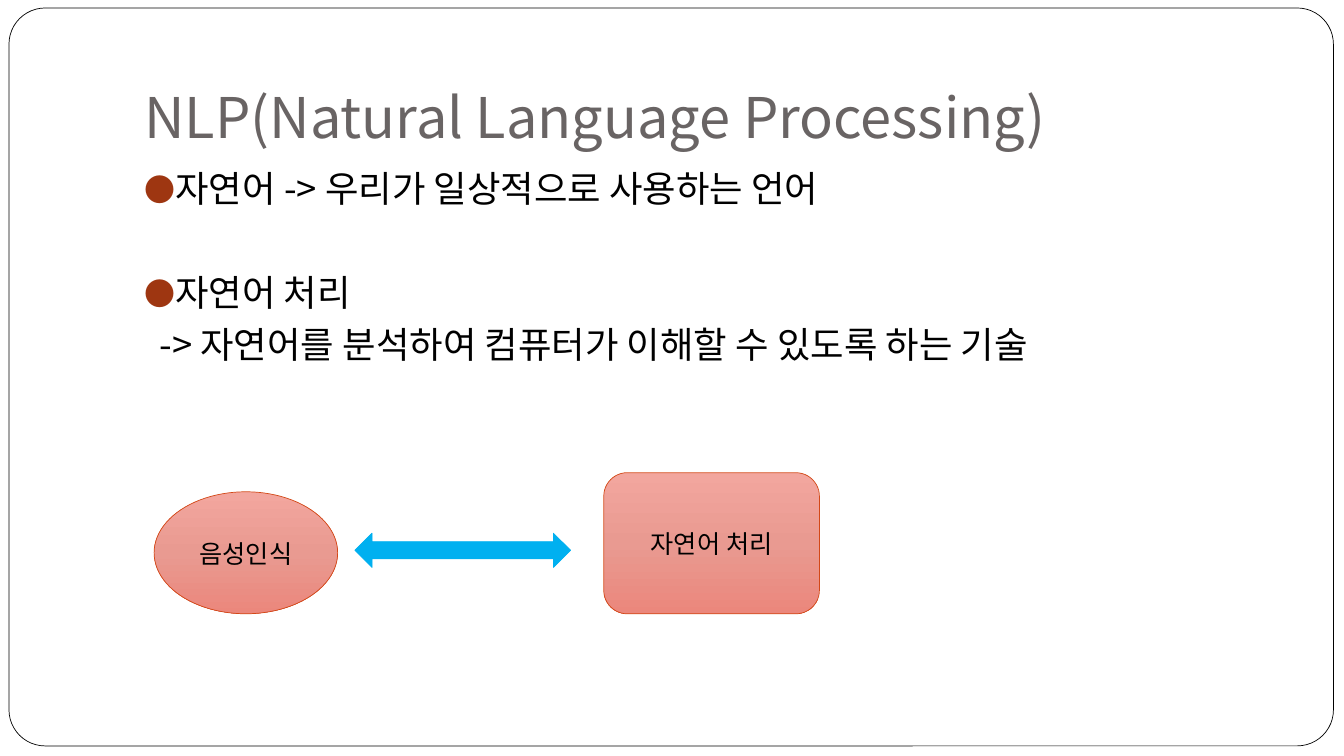
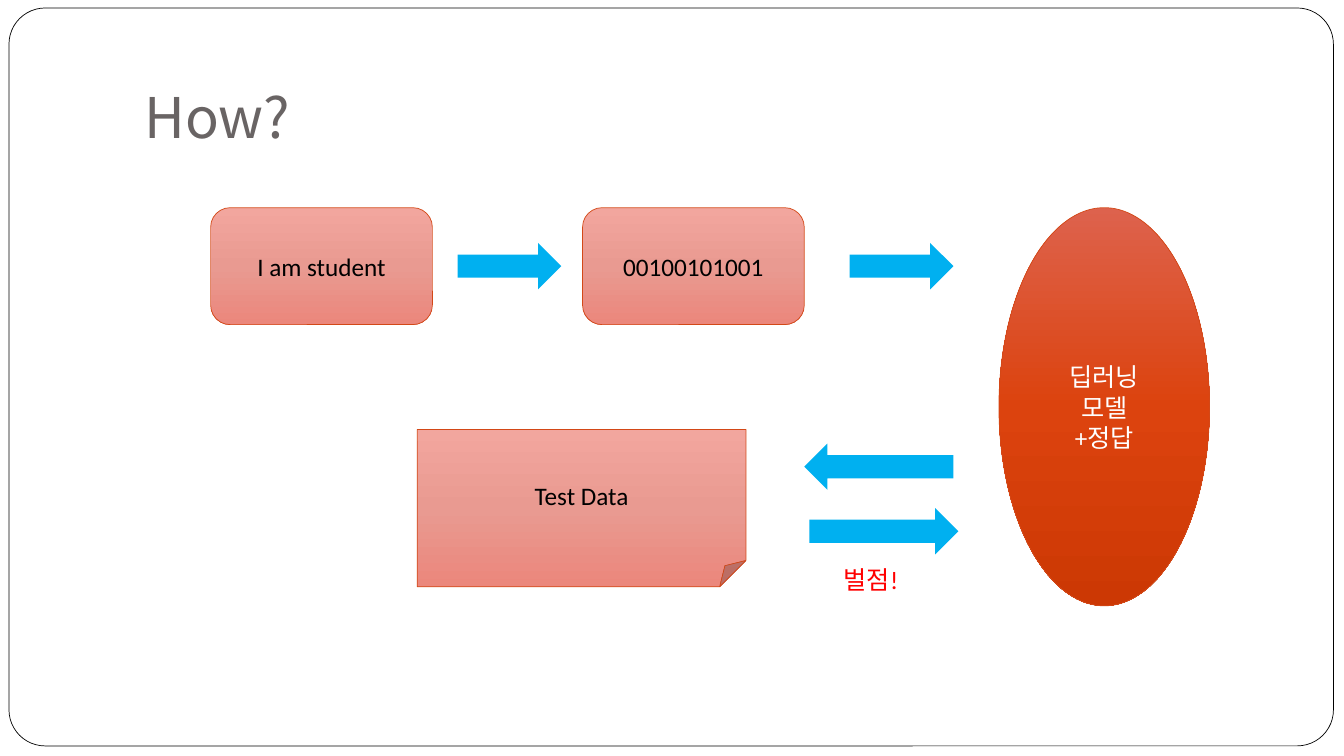
"""Build a two-slide introduction to natural language processing."""
from copy import deepcopy

from lxml.etree import SubElement
from pptx import Presentation
from pptx.dml.color import RGBColor
from pptx.enum.shapes import MSO_SHAPE as Shape
from pptx.enum.text import MSO_ANCHOR as Anchor, PP_ALIGN as Align
from pptx.oxml.ns import qn
from pptx.util import Inches, Pt

COLORS = {
    "paper": "FFFFFF", "ink": "000000", "title": "696464", "bullet": "9E3611",
    "outline": "D34817", "arrow": "00B0F0", "penalty": "FF0000",
}
SOFT = ("F2A69E", "E99A91", "EB877C")
STRONG = ("DD624D", "DC430E", "CC3804")
KOREAN, LATIN = "Noto Sans CJK KR", "Calibri"
WIDTH, HEIGHT = Inches(13.33), Inches(7.5)
COLUMNS, ROWS = 64, 36
TITLE_AREA = (6.4, 1.44, 54.4, 6)
BODY_AREA = (6.4, 7.68, 54.4, 12)
BODY_LINE, BODY_GAP = 31.3, 5.8


def rgb(name):
    return RGBColor.from_string(COLORS[name])


def grid(left, top, width, height):
    column, row = WIDTH / COLUMNS, HEIGHT / ROWS
    return [round(size) for size in (left * column, top * row, width * column, height * row)]


def format_para(para, size, color, font, align=Align.LEFT, line=None):
    para.alignment = align
    if line:
        para.line_spacing = Pt(line)
    for span in para.runs:
        span.font.size = Pt(size)
        span.font.name = font
        span.font.color.rgb = rgb(color)
        SubElement(span.font._element, qn("a:ea"), typeface=KOREAN)


def write_label(box, text, color, align=Align.CENTER):
    frame = box.text_frame
    frame.text = text
    frame.vertical_anchor = Anchor.MIDDLE
    for para in frame.paragraphs:
        format_para(para, 18, color, LATIN, align, 22)


def add_figure(page, kind, area, outline=None):
    figure = page.shapes.add_shape(kind, *grid(*area))
    figure.shadow.inherit = False
    if outline:
        figure.line.color.rgb = rgb(outline)
        figure.line.width = Pt(0.5)
    else:
        figure.line.fill.background()
    return figure


def add_node(page, kind, area, text, shades=SOFT, color="ink"):
    node = add_figure(page, kind, area, "outline")
    node.fill.gradient()
    node.fill.gradient_angle = 270
    stops = node._element.spPr.find(qn("a:gradFill")).find(qn("a:gsLst"))
    stops.insert(1, deepcopy(stops[0]))
    for stop, shade, position in zip(node.fill.gradient_stops, shades, (0, 0.5, 1)):
        stop.color.rgb = RGBColor.from_string(shade)
        stop.position = position
    write_label(node, text, color)


def add_arrow(page, kind, area, outline=None):
    arrow = add_figure(page, kind, area, outline)
    arrow.fill.solid()
    arrow.fill.fore_color.rgb = rgb("arrow")


def add_frame(page):
    frame = add_figure(page, Shape.ROUNDED_RECTANGLE, (0.43, 0.38, 63.07, 35.14), "ink")
    frame.adjustments[0] = 0.049
    frame.fill.solid()
    frame.fill.fore_color.rgb = rgb("paper")
    page.slide_layout.shapes._spTree.insert(2, frame._element)


def add_page(deck, title):
    page = deck.slides.add_slide(deck.slide_layouts[5])
    box = page.shapes.title
    box.left, box.top, box.width, box.height = grid(*TITLE_AREA)
    frame = box.text_frame
    frame.text = title
    frame.word_wrap = True
    frame.vertical_anchor = Anchor.BOTTOM
    frame.margin_bottom = Inches(0.06)
    format_para(frame.paragraphs[0], 40, "title", KOREAN)
    return page


def indent(para, bulleted):
    props = para._p.get_or_add_pPr()
    props.set("marL", str(Inches(0.3 if bulleted else 0.15)))
    props.set("indent", str(-Inches(0.3) if bulleted else 0))
    if bulleted:
        tint = SubElement(props, qn("a:buClr"))
        SubElement(tint, qn("a:srgbClr"), val=COLORS["bullet"])
        SubElement(props, qn("a:buSzPct"), val="85000")
        SubElement(props, qn("a:buFont"), typeface=KOREAN)
        SubElement(props, qn("a:buChar"), char="●")


def add_body(page, lines):
    frame = page.shapes.add_textbox(*grid(*BODY_AREA)).text_frame
    frame.word_wrap = True
    frame.text = "\n".join(text for text, _, _ in lines)
    for para, (_, bulleted, gap) in zip(frame.paragraphs, lines):
        format_para(para, 26, "ink", KOREAN, line=BODY_LINE)
        para.space_before = Pt(gap)
        indent(para, bulleted)


def build_definition(deck):
    page = add_page(deck, "NLP(Natural Language Processing)")
    add_frame(page)
    add_body(page, [
        ("자연어 -> 우리가 일상적으로 사용하는 언어", True, 0),
        ("자연어 처리", True, BODY_LINE + 2 * BODY_GAP),
        ("-> 자연어를 분석하여 컴퓨터가 이해할 수 있도록 하는 기술", False, BODY_GAP),
    ])
    add_arrow(page, Shape.LEFT_RIGHT_ARROW, (16.9, 25.39, 10.27, 1.63), "arrow")
    add_node(page, Shape.OVAL, (7.34, 23.42, 8.74, 5.81), "음성인식")
    add_node(page, Shape.ROUNDED_RECTANGLE, (28.75, 22.51, 10.27, 6.72), "자연어 처리")


def build_process(deck):
    page = add_page(deck, "How?")
    for left, text in ((10.03, "I am student"), (27.74, "00100101001")):
        add_node(page, Shape.ROUNDED_RECTANGLE, (left, 9.89, 10.56, 5.57), text)
    add_node(page, Shape.OVAL, (47.57, 9.89, 10.03, 18.96), "딥러닝\n모델\n+정답", STRONG, "paper")
    add_node(page, Shape.FOLDED_CORNER, (19.87, 20.45, 15.65, 7.49), "Test Data")
    for kind, left, top, width in (
        (Shape.RIGHT_ARROW, 21.79, 11.57, 4.94),
        (Shape.RIGHT_ARROW, 40.46, 11.57, 4.94),
        (Shape.LEFT_ARROW, 38.3, 21.12, 7.1),
        (Shape.RIGHT_ARROW, 38.54, 24.19, 7.1),
    ):
        add_arrow(page, kind, (left, top, width, 2.21))
    penalty = page.shapes.add_textbox(*grid(39.7, 26.64, 4.32, 1.92))
    penalty.text_frame.word_wrap = False
    write_label(penalty, "벌점!", "penalty", Align.LEFT)


def main():
    deck = Presentation()
    deck.slide_width, deck.slide_height = WIDTH, HEIGHT
    build_definition(deck)
    build_process(deck)
    deck.save("out.pptx")


if __name__ == "__main__":
    main()
